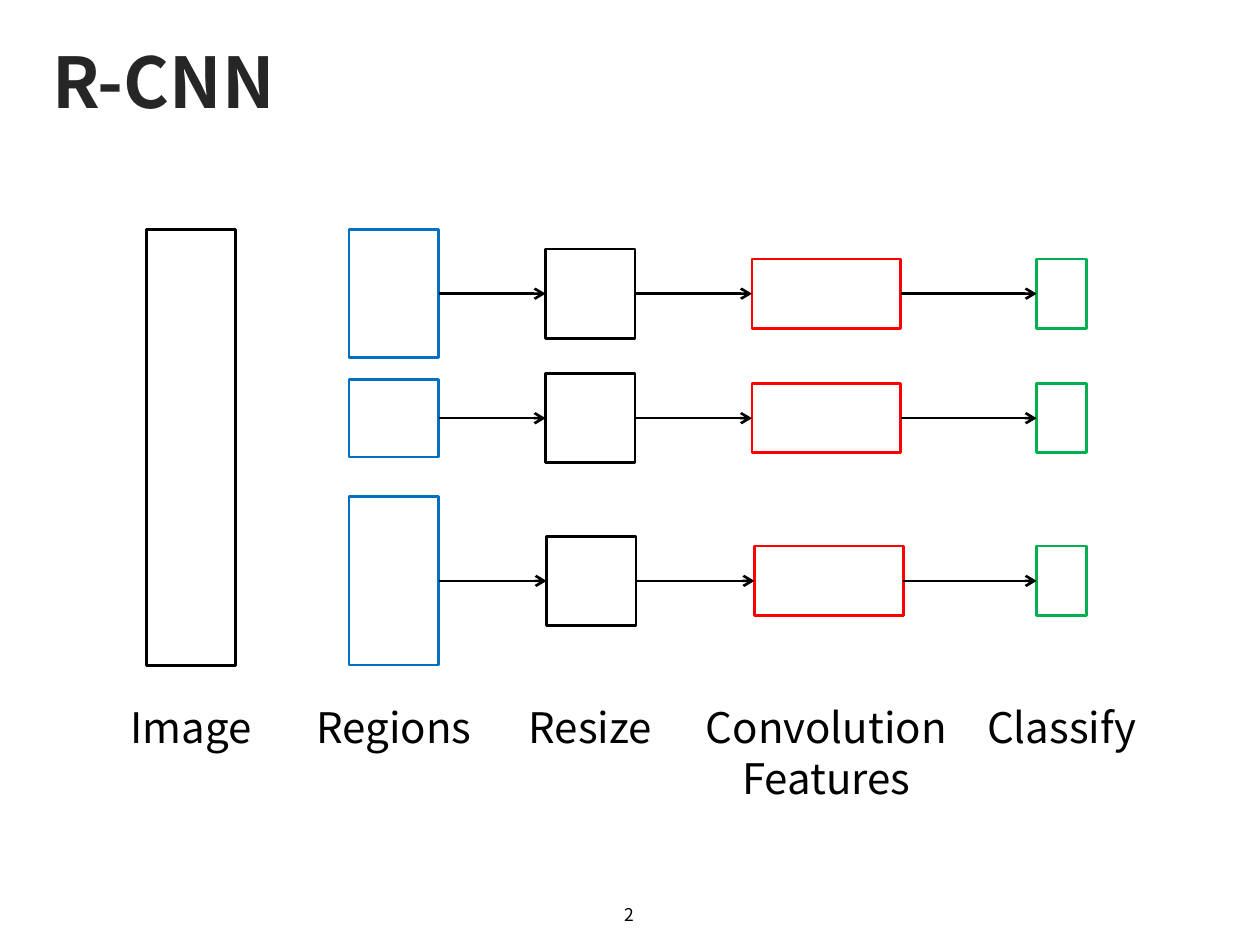
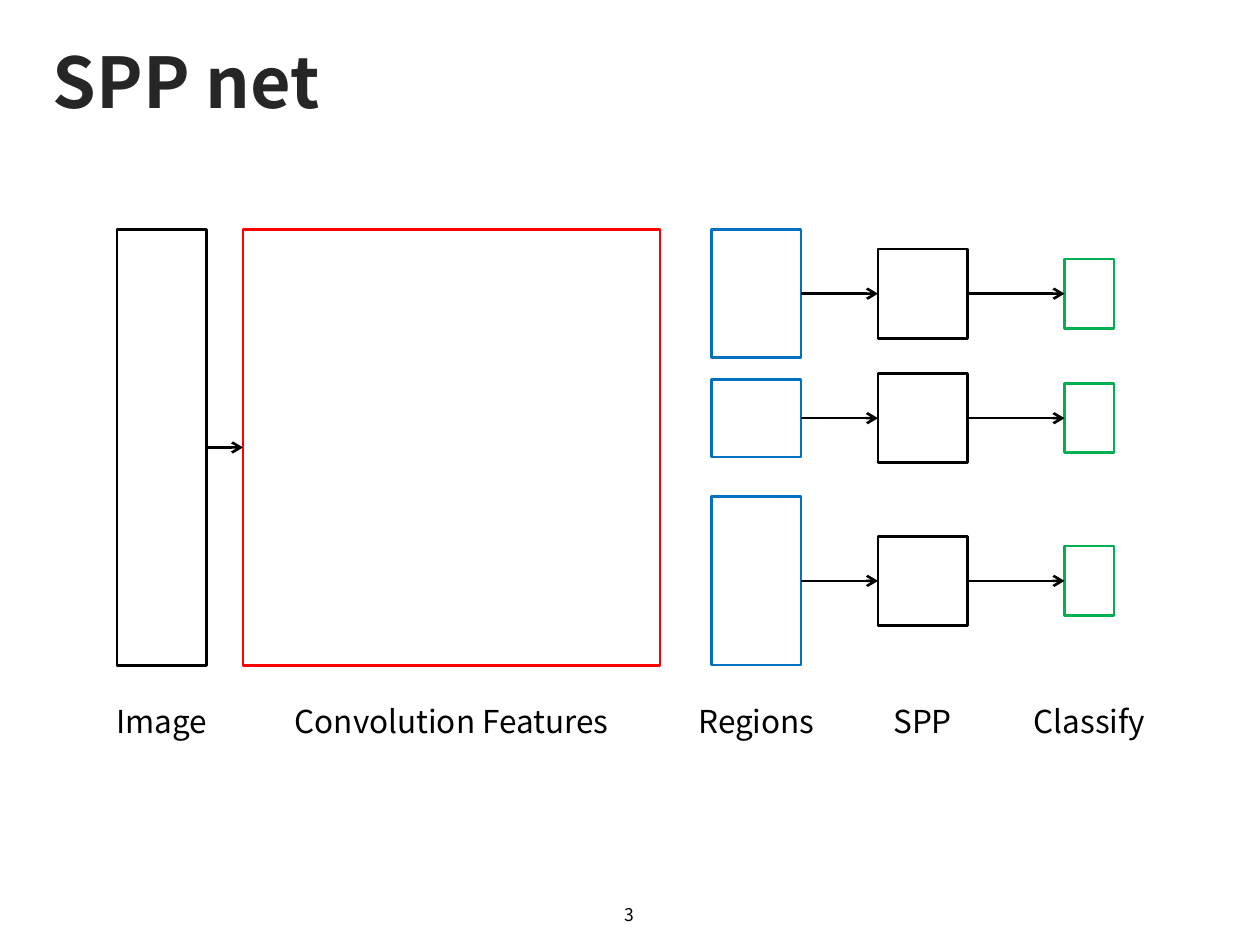
from dataclasses import dataclass

from lxml import etree
from pptx import Presentation
from pptx.dml.color import RGBColor
from pptx.enum import shapes, text
from pptx.oxml import ns
from pptx.util import Cm, Pt


@dataclass(frozen=True)
class Theme:
    font: str = "Noto Sans CJK KR"
    heading: str = "262626"
    ink: str = "000000"
    region: str = "0070C0"
    feature: str = "FF0000"
    classifier: str = "00B050"
    title_size: int = 40
    number_size: int = 10
    line: float = 1.5


THEME = Theme()
FIRST_NUMBER = 2

# Lengths are in centimetres. Rows are (centre, region height).
WHOLE = [(9.02, 8.79)]
ROWS = [(5.92, 2.59), (8.43, 1.57), (11.71, 3.4)]
LABEL_TOP = 14.02
TITLE_AREA = (0.81, 0.71, 23.83, 1.83)
NUMBER_AREA = (9.73, 17.93, 5.92, 1.02)


def stage(label, left, width, label_width, color, rows=ROWS, height=None, last_shift=0):
    """Describe one column; without a height its boxes take their row's height."""
    boxes = [(left, centre, width, height or row_height) for centre, row_height in rows]
    _, centre, _, last_height = boxes[-1]
    boxes[-1] = (left + last_shift, centre, width, last_height)
    return {"label": label, "middle": left + width / 2, "label_width": label_width,
            "color": color, "boxes": boxes}


SLIDES = [
    ("R-CNN", 24, [
        stage("Image", 2.95, 1.8, 3.53, THEME.ink, WHOLE),
        stage("Regions", 7.04, 1.8, 4.32, THEME.region),
        stage("Resize", 11, 1.8, 3.5, THEME.ink, height=1.8, last_shift=0.02),
        stage("Convolution Features", 15.16, 3, 6.2, THEME.feature, height=1.4,
              last_shift=0.05),
        stage("Classify", 20.9, 1, 3.5, THEME.classifier, height=1.4),
    ]),
    ("SPP net", 18, [
        stage("Image", 2.36, 1.8, 3.53, THEME.ink, WHOLE),
        stage("Convolution Features", 4.9, 8.41, 7.19, THEME.feature, WHOLE),
        stage("Regions", 14.35, 1.8, 4.32, THEME.region),
        stage("SPP", 17.7, 1.8, 3.4, THEME.ink, height=1.8),
        stage("Classify", 21.46, 1, 3.5, THEME.classifier, height=1.4),
    ]),
]


def cm(*lengths):
    return [Cm(length) for length in lengths]


def apply(target, values):
    for name, value in values.items():
        setattr(target, name, value)


def style_font(font, size, color, bold=False):
    apply(font, {"name": THEME.font, "size": Pt(size), "bold": bold})
    font.color.rgb = RGBColor.from_string(color)


def style_line(line, color):
    line.color.rgb = RGBColor.from_string(color)
    line.width = Pt(THEME.line)


def add_title(slide, heading):
    title = slide.shapes.title
    apply(title, dict(zip(("left", "top", "width", "height"), cm(*TITLE_AREA))))
    frame = title.text_frame
    frame.text = heading
    apply(frame, {"vertical_anchor": text.MSO_ANCHOR.MIDDLE,
                  "auto_size": text.MSO_AUTO_SIZE.NONE})
    paragraph = frame.paragraphs[0]
    paragraph.alignment = text.PP_ALIGN.LEFT
    style_font(paragraph.runs[0].font, THEME.title_size, THEME.heading, bold=True)


def add_centred_text(slide, area, words, size, anchor=text.MSO_ANCHOR.TOP):
    frame = slide.shapes.add_textbox(*cm(*area)).text_frame
    apply(frame, {"word_wrap": True, "vertical_anchor": anchor})
    paragraph = frame.paragraphs[0]
    paragraph.alignment = text.PP_ALIGN.CENTER
    run = paragraph.add_run()
    run.text = words
    style_font(run.font, size, THEME.ink)
    return run


def add_slide_number(slide, number):
    run = add_centred_text(slide, NUMBER_AREA, str(number), THEME.number_size,
                           text.MSO_ANCHOR.MIDDLE)
    element = run._r
    field = etree.Element(ns.qn("a:fld"), type="slidenum",
                          id="{B6F15528-21DE-4FAA-801E-634DDDAF4B2B}")
    element.getparent().replace(element, field)
    field.extend(list(element))


def add_box(slide, box, color):
    left, centre, width, height = box
    outline = slide.shapes.add_shape(shapes.MSO_SHAPE.RECTANGLE,
                                     *cm(left, centre - height / 2, width, height))
    outline.shadow.inherit = False
    outline.fill.background()
    style_line(outline.line, color)


def add_arrow(slide, source, target):
    left, centre, width, _ = source
    arrow = slide.shapes.add_connector(shapes.MSO_CONNECTOR.STRAIGHT,
                                       *cm(left + width, centre, target[0], centre))
    style_line(arrow.line, THEME.ink)
    properties = arrow._element.spPr
    etree.SubElement(properties.find(ns.qn("a:ln")), ns.qn("a:tailEnd"), type="arrow")
    etree.SubElement(properties, ns.qn("a:effectLst"))


def add_pipeline(slide, stages, label_size):
    for column in stages:
        for box in column["boxes"]:
            add_box(slide, box, column["color"])
        width = column["label_width"]
        area = (column["middle"] - width / 2, LABEL_TOP, width, 1.27)
        add_centred_text(slide, area, column["label"], label_size)
    for before, after in zip(stages, stages[1:]):
        # Only stages that work on the same pieces are joined.
        if len(before["boxes"]) == len(after["boxes"]):
            for source, target in zip(before["boxes"], after["boxes"]):
                add_arrow(slide, source, target)


def main():
    deck = Presentation()
    deck.slide_width, deck.slide_height = cm(25.4, 19.05)
    deck.element.set("firstSlideNum", str(FIRST_NUMBER))
    title_only = deck.slide_layouts[5]
    for number, (heading, label_size, stages) in enumerate(SLIDES, FIRST_NUMBER):
        slide = deck.slides.add_slide(title_only)
        add_title(slide, heading)
        add_slide_number(slide, number)
        add_pipeline(slide, stages, label_size)
    deck.save("out.pptx")


if __name__ == "__main__":
    main()
